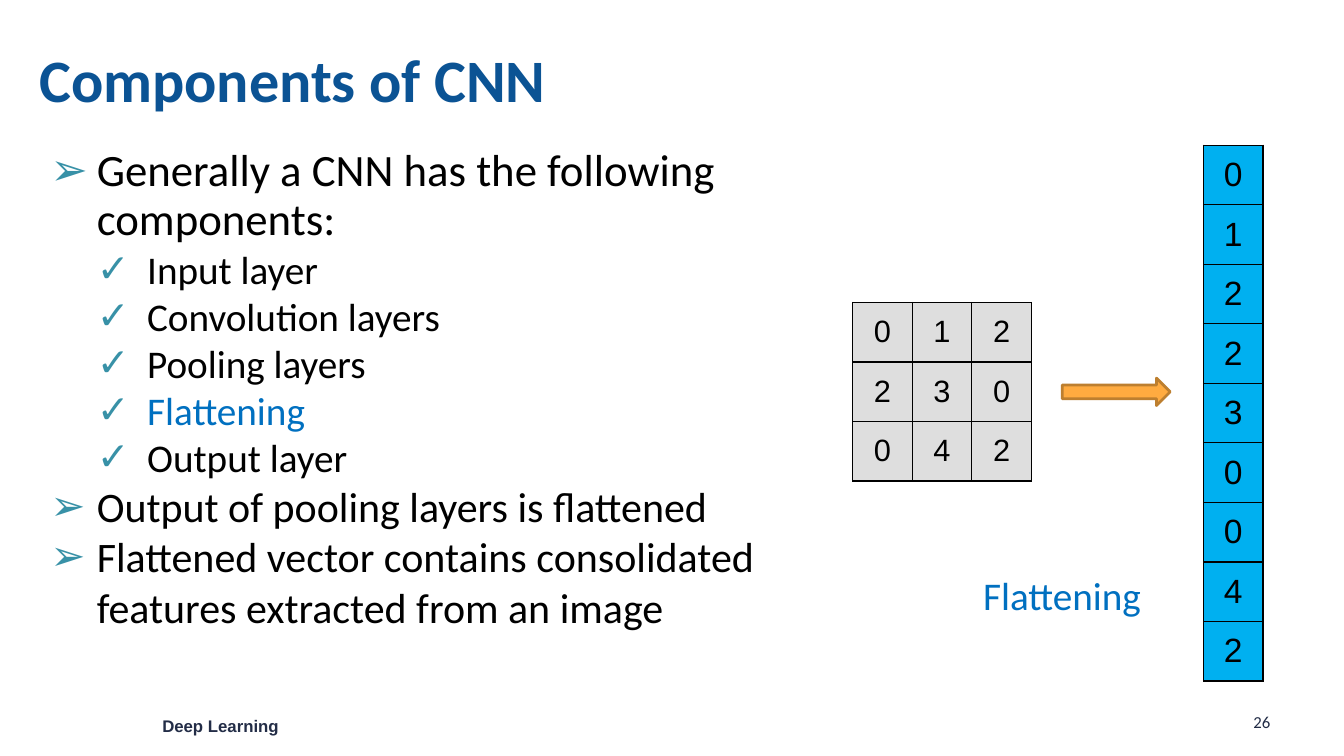
from dataclasses import dataclass
from typing import Any

from lxml import etree
from pptx import Presentation
from pptx import util as u
from pptx.dml.color import RGBColor
from pptx.enum import shapes, text
from pptx.oxml.ns import qn


@dataclass(frozen=True)
class Theme:
    sans: str = "Calibri"
    plain: str = "Arial"
    black: str = "000000"
    navy: str = "232D47"
    title: str = "0B5394"
    blue: str = "0070C0"
    teal: str = "3891A7"
    grey: str = "DEDEDE"
    cyan: str = "00B0F0"
    amber: str = "FFAB40"
    brown: str = "BD7F2F"
    foot: int = 12
    cell: int = 22
    item: int = 28
    point: int = 30
    lead: int = 32
    head: int = 43


@dataclass(frozen=True)
class Line:
    words: str
    size: int
    color: str = "000000"
    font: str = "Calibri"
    bold: bool = False
    mark: str = ""
    level: int = 0
    format: tuple[tuple[str, Any], ...] = ()


@dataclass(frozen=True)
class Box:
    left: float
    top: float
    width: float
    height: float
    lines: tuple[Line, ...]
    anchor: Any = text.MSO_ANCHOR.TOP


@dataclass(frozen=True)
class Grid:
    left: float
    top: float
    rows: tuple[str, ...]
    fill: str
    size: int


T = Theme()
SIDE = 1.5
CENTER = (("alignment", text.PP_ALIGN.CENTER),)
TIGHT = (("line_spacing", 0.9),)


def apply(target: Any, values: dict[str, Any]) -> None:
    for name, value in values.items():
        setattr(target, name, value)


def rgb(color: str) -> RGBColor:
    return RGBColor.from_string(color)


def add_mark(para: Any, line: Line) -> None:
    """Hang a coloured bullet in front of the paragraph."""
    props = para._p.get_or_add_pPr()
    props.set("marL", str(u.Cm(1.17 + 1.27 * line.level)))
    props.set("indent", str(u.Cm(-1.27)))
    tint = etree.SubElement(props, qn("a:buClr"))
    etree.SubElement(tint, qn("a:srgbClr"), val=T.teal)
    etree.SubElement(props, qn("a:buFont"), typeface=T.plain)
    etree.SubElement(props, qn("a:buChar"), char=line.mark)


def write(para: Any, line: Line) -> None:
    if line.mark:
        add_mark(para, line)
    apply(para, {"level": line.level, **dict(line.format)})
    run = para.add_run()
    run.text = line.words
    apply(run.font, {"name": line.font, "size": u.Pt(line.size), "bold": line.bold})
    run.font.color.rgb = rgb(line.color)


def add_box(slide: Any, box: Box) -> None:
    place = map(u.Cm, (box.left, box.top, box.width, box.height))
    frame = slide.shapes.add_textbox(*place).text_frame
    apply(frame, {"word_wrap": True, "vertical_anchor": box.anchor})
    for i, line in enumerate(box.lines):
        write(frame.add_paragraph() if i else frame.paragraphs[0], line)


def add_edges(cell: Any) -> None:
    """Draw a thin black line on all four sides of a cell."""
    props = cell._tc.get_or_add_tcPr()
    for tag in ("a:lnL", "a:lnR", "a:lnT", "a:lnB"):
        edge = etree.SubElement(props, qn(tag), w=str(u.Pt(1)))
        paint = etree.SubElement(edge, qn("a:solidFill"))
        etree.SubElement(paint, qn("a:srgbClr"), val=T.black)


def add_grid(slide: Any, grid: Grid) -> None:
    """Draw a table of square cells, one digit in each."""
    high, wide = len(grid.rows), len(grid.rows[0])
    place = map(u.Cm, (grid.left, grid.top, wide * SIDE, high * SIDE))
    table = slide.shapes.add_table(high, wide, *place).table
    apply(table, {"first_row": False, "horz_banding": False})
    for r, row in enumerate(grid.rows):
        for c, digit in enumerate(row):
            cell = table.cell(r, c)
            add_edges(cell)
            cell.fill.solid()
            cell.fill.fore_color.rgb = rgb(grid.fill)
            cell.vertical_anchor = text.MSO_ANCHOR.MIDDLE
            write(cell.text_frame.paragraphs[0],
                  Line(digit, grid.size, font=T.plain, format=CENTER))


def add_arrow(slide: Any) -> None:
    place = map(u.Cm, (26.77, 9.53, 2.72, 0.69))
    arrow = slide.shapes.add_shape(shapes.MSO_SHAPE.RIGHT_ARROW, *place)
    arrow.shadow.inherit = False
    arrow.fill.solid()
    arrow.fill.fore_color.rgb = rgb(T.amber)
    arrow.line.color.rgb = rgb(T.brown)
    arrow.line.width = u.Pt(2)


def point(words: str, size: int = T.point, format: tuple = ()) -> Line:
    return Line(words, size, mark="➢", format=format)


def item(words: str, color: str = T.black) -> Line:
    return Line(words, T.item, color, mark="✓", level=1)


BODY = (
    point("Generally a CNN has the following components:", T.lead, TIGHT),
    item("Input layer"),
    item("Convolution layers"),
    item("Pooling layers"),
    item("Flattening", T.blue),
    item("Output layer"),
    point("Output of pooling layers is flattened"),
    point("Flattened vector contains consolidated features extracted from an image"),
)
BOXES = (
    Box(3.84, 17.91, 6.68, 0.76,
        (Line("Deep Learning", T.foot, T.navy, T.plain, True),)),
    Box(31.34, 17.81, 1.7, 0.76, (Line("26", T.foot, T.navy),)),
    Box(0.74, 0.25, 29.21, 3.68,
        (Line("Components of CNN", T.head, T.title, bold=True, format=TIGHT),),
        text.MSO_ANCHOR.MIDDLE),
    Box(1.02, 3.61, 20.07, 13.23, BODY),
    Box(22.56, 14.27, 8.41, 1.45,
        (Line("Flattening", T.item, T.blue, format=CENTER),)),
)
MATRIX = ("012", "230", "042")
GRIDS = (
    Grid(21.49, 7.62, MATRIX, T.grey, T.cell),
    Grid(30.33, 3.66, tuple("".join(MATRIX)), T.cyan, T.cell + 2),
)


def main() -> None:
    deck = Presentation()
    apply(deck, {"slide_width": u.Cm(33.87), "slide_height": u.Cm(19.05)})
    slide = deck.slides.add_slide(deck.slide_layouts[6])
    for box in BOXES:
        add_box(slide, box)
    for grid in GRIDS:
        add_grid(slide, grid)
    add_arrow(slide)
    deck.save("out.pptx")


if __name__ == "__main__":
    main()
